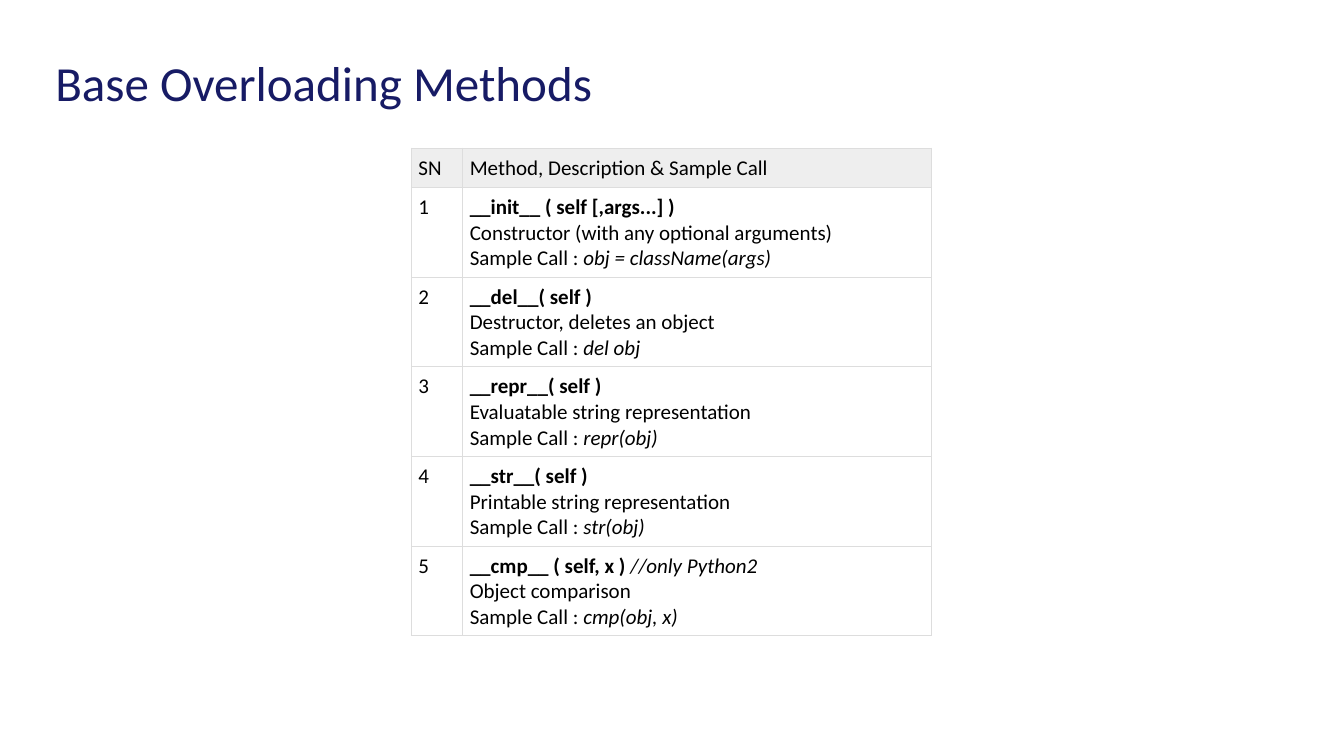
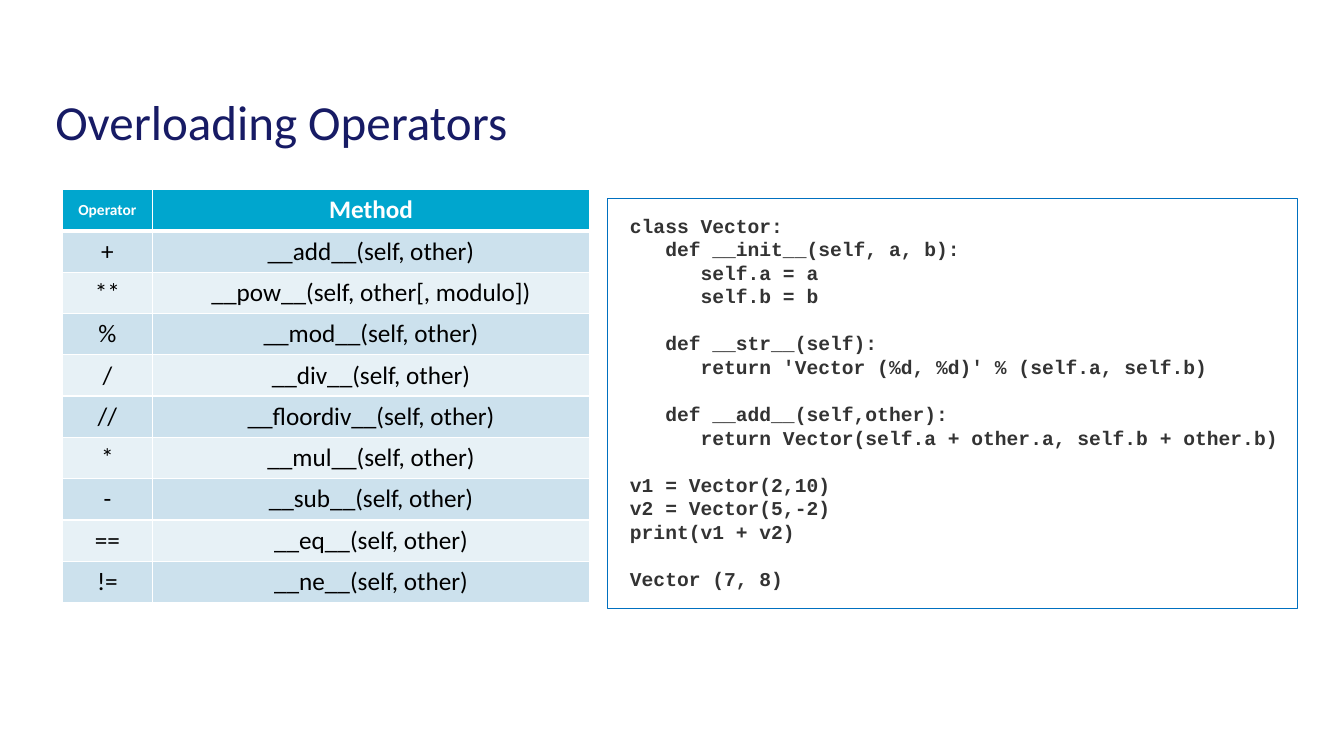
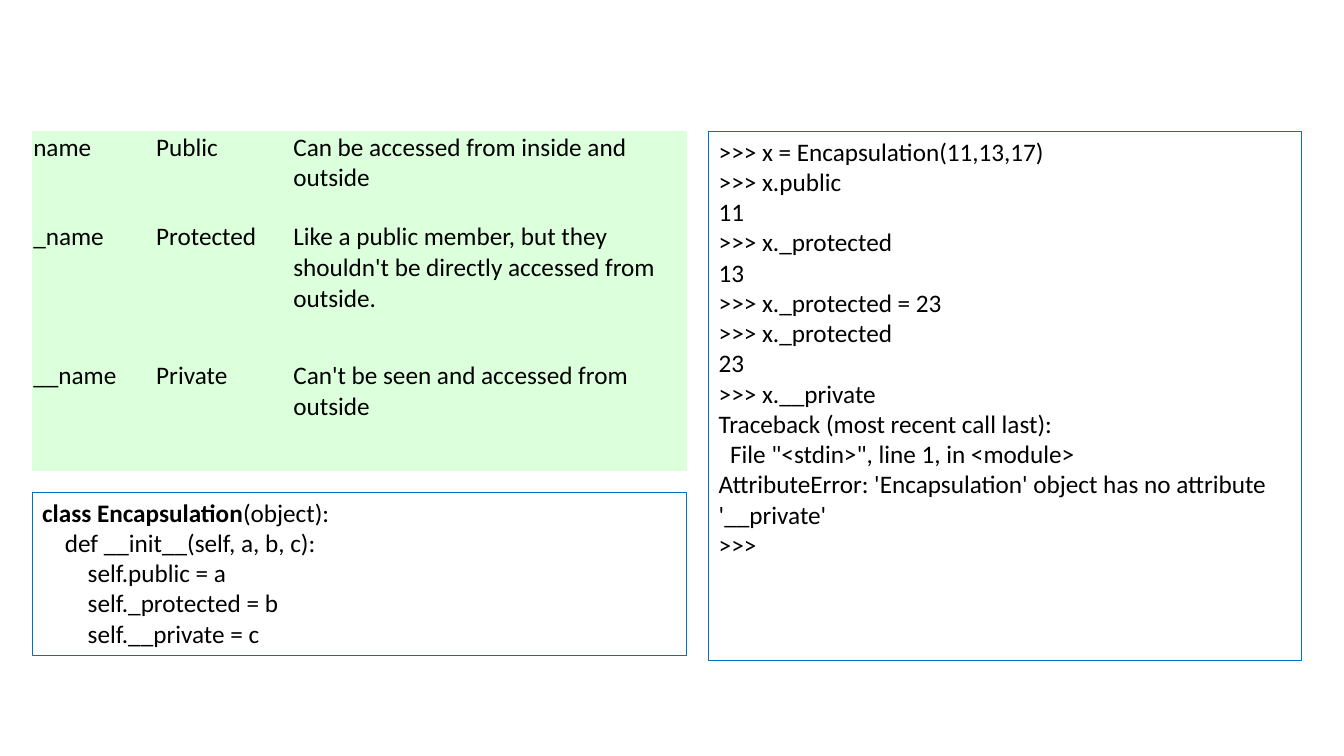
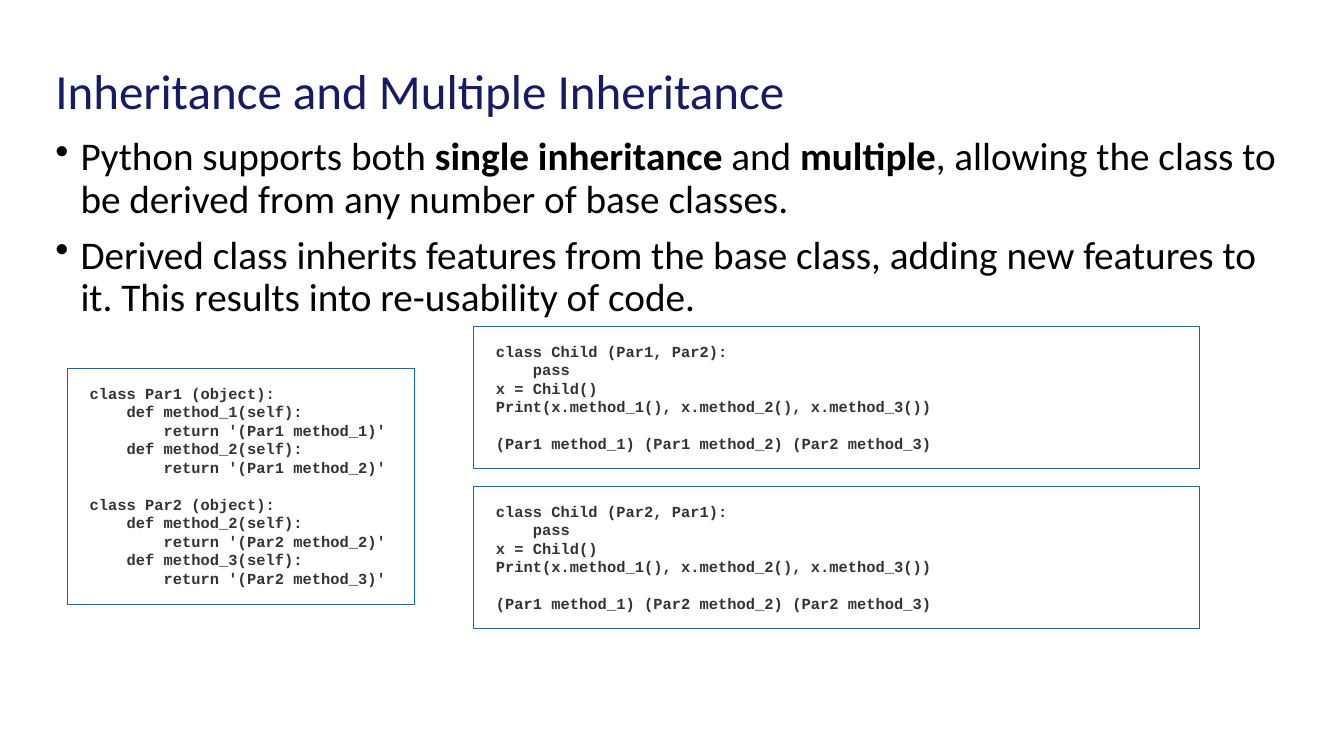
import pptx
import pptx.util
import pptx.dml.color
import pptx.enum.shapes
import pptx.enum.text
import pptx.oxml
import pptx.oxml.ns

Inches = pptx.util.Inches
Pt = pptx.util.Pt
RGBColor = pptx.dml.color.RGBColor
ALIGN = pptx.enum.text.PP_ALIGN
ANCHOR = pptx.enum.text.MSO_ANCHOR

NAVY = RGBColor(0x17, 0x1B, 0x65)
BLACK = RGBColor(0, 0, 0)
WHITE = RGBColor(0xFF, 0xFF, 0xFF)
CHARCOAL = RGBColor(0x33, 0x33, 0x33)
BLUE = RGBColor(0x00, 0x70, 0xC0)
CYAN = RGBColor(0x00, 0xA6, 0xCE)
BAND_DARK = RGBColor(0xCC, 0xE1, 0xED)
BAND_LIGHT = RGBColor(0xE7, 0xF1, 0xF6)
GREEN = RGBColor(0xDC, 0xFF, 0xDC)
HEADER_GRAY = RGBColor(0xEE, 0xEE, 0xEE)
RULE_GRAY = RGBColor(0xDD, 0xDD, 0xDD)

BOLD = {"bold": True}
ITALIC = {"italic": True}
TITLE_FONT = {"name": "Calibri", "size": Pt(35), "color": NAVY}
BODY_FONT = {"name": "Calibri", "size": Pt(28), "color": BLACK}
TEXT_FONT = {"name": "Calibri", "size": Pt(18), "color": BLACK}
METHOD_FONT = TEXT_FONT | {"size": Pt(15)}
HEADER_FONT = TEXT_FONT | {"color": WHITE, "bold": True}
CODE_FONT = {"name": "Courier New", "color": CHARCOAL, "bold": True}

METHODS = [
    ([("__init__ ( self [,args...] )", BOLD)],
     "Constructor (with any optional arguments)", "obj = className(args)"),
    ([("__del__( self )", BOLD)], "Destructor, deletes an object", "del obj"),
    ([("__repr__( self )", BOLD)],
     "Evaluatable string representation", "repr(obj)"),
    ([("__str__( self )", BOLD)],
     "Printable string representation", "str(obj)"),
    ([("__cmp__ ( self, x ) ", BOLD), ("//only Python2", ITALIC)],
     "Object comparison", "cmp(obj, x)"),
]

OPERATORS = [
    ("+", "__add__(self, other)"),
    ("**", "__pow__(self, other[, modulo])"),
    ("%", "__mod__(self, other)"),
    ("/", "__div__(self, other)"),
    ("//", "__floordiv__(self, other)"),
    ("*", "__mul__(self, other)"),
    ("-", "__sub__(self, other)"),
    ("==", "__eq__(self, other)"),
    ("!=", "__ne__(self, other)"),
]

ACCESS_LEVELS = [
    ("name", "Public", "Can be accessed from inside and outside"),
    ("_name", "Protected", "Like a public member, but they shouldn't be "
     "directly accessed from outside."),
    ("__name", "Private", "Can't be seen and accessed from outside"),
]

VECTOR_CODE = """class Vector:
   def __init__(self, a, b):
      self.a = a
      self.b = b

   def __str__(self):
      return 'Vector (%d, %d)' % (self.a, self.b)

   def __add__(self,other):
      return Vector(self.a + other.a, self.b + other.b)

v1 = Vector(2,10)
v2 = Vector(5,-2)
print(v1 + v2)

Vector (7, 8)"""

ENCAPSULATION_CODE = [
    [("class Encapsulation", BOLD), ("(object):", {})],
    "    def __init__(self, a, b, c):",
    "        self.public = a",
    "        self._protected = b",
    "        self.__private = c",
]

SESSION = """>>> x = Encapsulation(11,13,17)
>>> x.public
11
>>> x._protected
13
>>> x._protected = 23
>>> x._protected
23
>>> x.__private
Traceback (most recent call last):
  File "<stdin>", line 1, in <module>
AttributeError: 'Encapsulation' object has no attribute '__private'
>>>"""

PARENTS_CODE = """class Par1 (object):
    def method_1(self):
        return '(Par1 method_1)'
    def method_2(self):
        return '(Par1 method_2)'

class Par2 (object):
    def method_2(self):
        return '(Par2 method_2)'
    def method_3(self):
        return '(Par2 method_3)'"""

CHILD_CODE = """class Child ({}):
    pass
x = Child()
Print(x.method_1(), x.method_2(), x.method_3())

(Par1 method_1) ({} method_2) (Par2 method_3)"""

INHERITANCE_POINTS = [
    [("Python supports both ", {}), ("single inheritance ", BOLD),
     ("and ", {}), ("multiple", BOLD),
     (", allowing the class to be derived from any number of base classes.",
      {})],
    "Derived class inherits features from the base class, adding new features "
    "to it. This results into re-usability of code.",
]


def set_values(target, values):
    for name, value in values.items():
        setattr(target, name, value)


def set_font(font, values):
    for name, value in values.items():
        if name == "color":
            font.color.rgb = value
        else:
            setattr(font, name, value)


def write_lines(frame, lines, font, layout, indent=0, hanging=0, bullet=None):
    blank_before = False
    first = True
    for line in lines:
        if not line:
            blank_before = True
            continue
        para = frame.paragraphs[0] if first else frame.add_paragraph()
        properties = para._p.get_or_add_pPr()
        if indent:
            properties.set("marL", str(Inches(indent)))
            properties.set("indent", str(Inches(-hanging)))
        set_values(para, layout)
        if first:
            para.space_before = Pt(0)
        elif blank_before:
            para.space_before = layout["line_spacing"]
        if bullet:
            mark = pptx.oxml.parse_xml(
                f'<a:buChar {pptx.oxml.ns.nsdecls("a")} char="{bullet}"/>')
            properties.append(mark)
        for text, change in [(line, {})] if isinstance(line, str) else line:
            span = para.add_run()
            span.text = text
            set_font(span.font, font | change)
        first = blank_before = False


def place_text(page, box, lines, font, anchor, layout, **bullets):
    frame = page.shapes.add_textbox(*map(Inches, box)).text_frame
    set_values(frame, {"word_wrap": True, "vertical_anchor": anchor})
    write_lines(frame, lines, font, layout, **bullets)


def place_title(page, text, top):
    place_text(page, (0.45, top, 12.42, 0.58), [text], TITLE_FONT,
               ANCHOR.MIDDLE, {"line_spacing": 0.9})


def place_panel(page, box, lines, font, line_width, inset, indent=0,
                opacity=None):
    panel = page.shapes.add_shape(
        pptx.enum.shapes.MSO_SHAPE.RECTANGLE, *map(Inches, box))
    panel.shadow.inherit = False
    panel.fill.solid()
    panel.fill.fore_color.rgb = WHITE
    if opacity:
        color = panel.fill._xPr.find(".//" + pptx.oxml.ns.qn("a:srgbClr"))
        color.append(pptx.oxml.parse_xml(
            f'<a:alpha {pptx.oxml.ns.nsdecls("a")} val="{opacity * 1000}"/>'))
    panel.line.color.rgb = BLUE
    panel.line.width = Pt(line_width)
    frame = panel.text_frame
    set_values(frame, {"word_wrap": True, "vertical_anchor": ANCHOR.TOP,
                       "margin_top": Inches(inset),
                       "margin_bottom": Inches(inset)})
    layout = {"alignment": ALIGN.LEFT,
              "line_spacing": Pt(font["size"].pt * 1.2)}
    write_lines(frame, lines, font, layout, indent)


def place_code(page, box, code, size):
    place_panel(page, box, code.split("\n"), CODE_FONT | {"size": Pt(size)},
                0.75, 0.15, indent=0.12, opacity=50)


def place_console(page, box, lines):
    place_panel(page, box, lines, TEXT_FONT, 0.5, 0.05)


def set_border(cell, side, color, width):
    paint = (f'<a:solidFill><a:srgbClr val="{color}"/></a:solidFill>'
             if color else "<a:noFill/>")
    border = pptx.oxml.parse_xml(
        f'<a:{side} {pptx.oxml.ns.nsdecls("a")} w="{Pt(width)}">'
        f'{paint}</a:{side}>')
    cell._tc.get_or_add_tcPr().append(border)


def place_table(page, corner, widths, heights, rows, style):
    left, top = corner
    table = page.shapes.add_table(
        len(rows), len(widths), Inches(left), Inches(top),
        Inches(sum(widths)), Inches(sum(heights))).table
    set_values(table, {"first_row": False, "horz_banding": False})
    for column, width in zip(table.columns, widths):
        column.width = Inches(width)
    for row, height in zip(table.rows, heights):
        row.height = Inches(height)
    for row_index, row in enumerate(rows):
        for column_index, lines in enumerate(row):
            cell = table.cell(row_index, column_index)
            for side in ("lnL", "lnR", "lnT", "lnB"):
                set_border(cell, side, style["border"],
                           style["border_width"](row_index, side))
            color = style["fill"](row_index)
            if color is None:
                cell.fill.background()
            else:
                cell.fill.solid()
                cell.fill.fore_color.rgb = color
            set_values(cell, style["cell"])
            write_lines(cell.text_frame, lines,
                        style["font"](row_index, column_index),
                        style["layout"])


def cell_margins(inset):
    return {f"margin_{side}": Inches(inset)
            for side in ("left", "top", "right", "bottom")}


def place_method_table(page, corner):
    rows = [(["SN"], ["Method, Description & Sample Call"])]
    for number, (heading, description, call) in enumerate(METHODS, 1):
        sample = [("Sample Call : ", {}), (call, ITALIC)]
        rows.append(([str(number)], [heading, description, sample]))
    place_table(page, corner, [0.51, 4.65], [0.38] + [0.88] * len(METHODS),
                rows, {
        "border": RULE_GRAY,
        "border_width": lambda row, side: 0.75,
        "fill": lambda row: None if row else HEADER_GRAY,
        "cell": cell_margins(0.07),
        "font": lambda row, column: METHOD_FONT,
        "layout": {},
    })


def place_operator_table(page, corner):
    def header_rule(row, side):
        return 3 if (row, side) in ((0, "lnB"), (1, "lnT")) else 1

    def band(row):
        return (BAND_DARK if row % 2 else BAND_LIGHT) if row else CYAN

    def font(row, column):
        if row:
            return TEXT_FONT
        return HEADER_FONT | {"size": Pt(18 if column else 11)}

    rows = [([sign], [method])
            for sign, method in [("Operator", "Method")] + OPERATORS]
    place_table(page, corner, [0.89, 4.34], [0.41] * len(rows), rows, {
        "border": WHITE,
        "border_width": header_rule,
        "fill": band,
        "cell": {"vertical_anchor": ANCHOR.MIDDLE},
        "font": font,
        "layout": {"alignment": ALIGN.CENTER},
    })


def place_access_table(page, corner):
    rows = [[[text] for text in level] for level in ACCESS_LEVELS]
    place_table(page, corner, [1.22, 1.36, 3.91], [0.89, 1.38, 1.1], rows, {
        "border": None,
        "border_width": lambda row, side: 0,
        "fill": lambda row: GREEN,
        "cell": cell_margins(0.01),
        "font": lambda row, column: TEXT_FONT,
        "layout": {},
    })


def build_methods(page):
    place_title(page, "Base Overloading Methods", 0.56)
    place_method_table(page, (4.08, 1.47))


def build_operators(page):
    place_title(page, "Overloading Operators", 0.95)
    place_code(page, (6.03, 1.97, 6.84, 4.07), VECTOR_CODE, 14)
    place_operator_table(page, (0.62, 1.88))


def build_encapsulation(page):
    place_console(page, (0.32, 4.88, 6.49, 1.62), ENCAPSULATION_CODE)
    place_console(page, (7.03, 1.3, 5.88, 5.25), SESSION.split("\n"))
    place_access_table(page, (0.32, 1.3))


def build_inheritance(page):
    place_title(page, "Inheritance and Multiple Inheritance", 0.64)
    place_text(page, (0.45, 1.31, 12.42, 5.27), INHERITANCE_POINTS, BODY_FONT,
               ANCHOR.TOP, {"line_spacing": 0.9, "space_before": Pt(10)},
               indent=0.25, hanging=0.25, bullet="•")
    place_code(page, (0.67, 3.66, 3.44, 2.34), PARENTS_CODE, 11)
    orders = [("Par1, Par2", "Par1"), ("Par2, Par1", "Par2")]
    for index, order in enumerate(orders):
        place_code(page, (4.7, 3.24 + 1.59 * index, 7.2, 1.41),
                   CHILD_CODE.format(*order), 11)


def main():
    deck = pptx.Presentation()
    deck.slide_width = Inches(13.33)
    deck.slide_height = Inches(7.5)
    for build in (build_methods, build_operators, build_encapsulation,
                  build_inheritance):
        build(deck.slides.add_slide(deck.slide_layouts[6]))
    deck.save("out.pptx")


if __name__ == "__main__":
    main()
